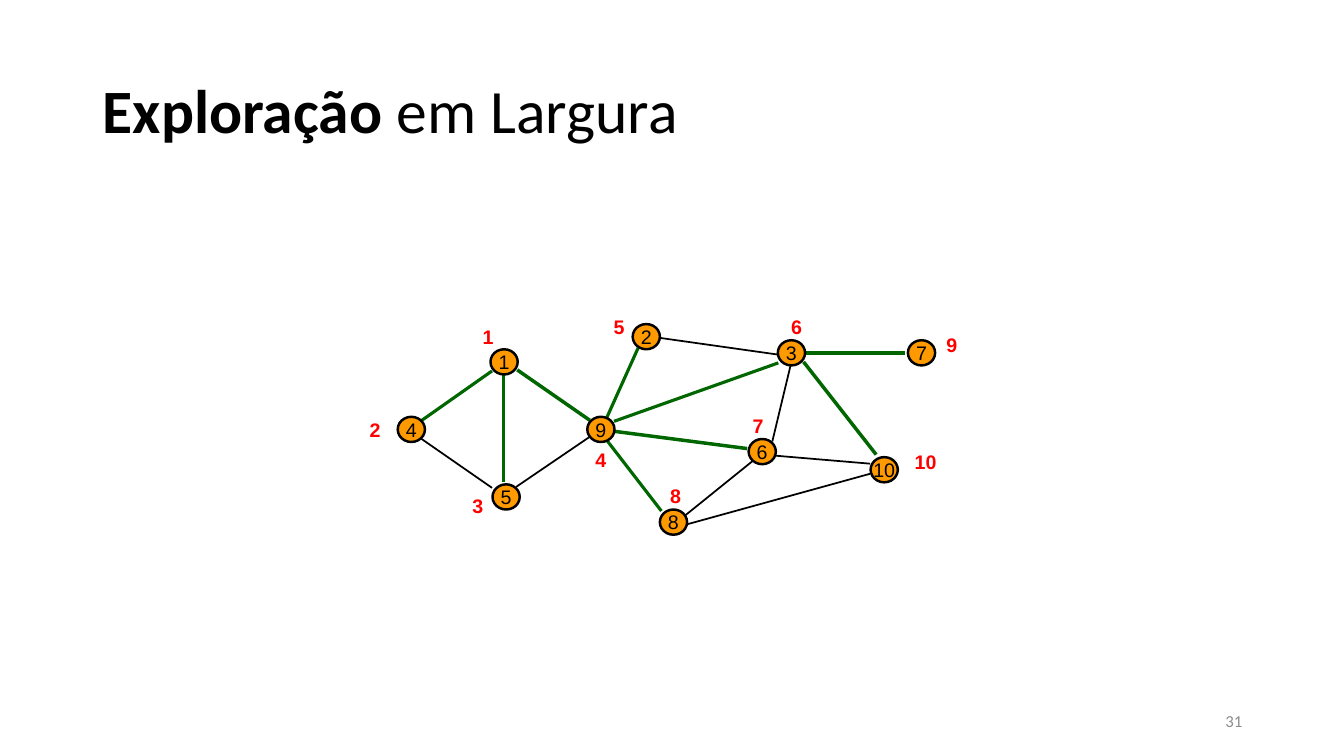
import dataclasses

import pptx
import pptx.dml.color
import pptx.enum.shapes
import pptx.enum.text
import pptx.oxml
import pptx.util

Inches = pptx.util.Inches
Align = pptx.enum.text.PP_ALIGN


@dataclasses.dataclass(frozen=True)
class Theme:
    """Colours, fonts and sizes of the deck."""
    ink: str = "000000"
    node: str = "FF9900"
    order: str = "FF0000"
    tree: str = "006600"
    muted: str = "8C8C8C"
    heading_font: str = "Calibri"
    graph_font: str = "Arial"
    title_size: float = 44
    graph_size: float = 14
    number_size: float = 12
    edge_width: float = 1.25
    node_width: float = 1.75
    tree_width: float = 2.25
    tree_bold_width: float = 2.5


THEME = Theme()
NODE_SIZE = (0.27, 0.25)
ORDER_SIZE = (0.61, 0.33)

NODES = [
    ("1", (1.5, 0.59), "1", (1.34, 0.34)),
    ("4", (0.58, 1.26), "2", (0.22, 1.26)),
    ("5", (1.52, 1.93), "3", (1.24, 2.02)),
    ("9", (2.46, 1.26), "4", (2.46, 1.56)),
    ("2", (2.91, 0.34), "5", (2.64, 0.24)),
    ("3", (4.35, 0.5), "6", (4.4, 0.24)),
    ("6", (4.06, 1.48), "7", (4.02, 1.22)),
    ("8", (3.18, 2.18), "8", (3.2, 1.92)),
    ("7", (5.64, 0.5), "9", (5.94, 0.42)),
    ("10", (5.27, 1.66), "10", (5.68, 1.58)),
]
PLAIN_EDGES = [
    ((1.62, 1.83), (2.34, 1.34)),
    ((0.66, 1.34), (1.38, 1.84)),
    ((3.03, 0.35), (4.23, 0.52)),
    ((4.34, 0.63), (4.16, 1.38)),
    ((3.3, 2.11), (3.97, 1.57)),
    ((3.32, 2.2), (5.13, 1.7)),
    ((4.18, 1.52), (5.13, 1.6)),
]
TREE_EDGES = [
    ((0.67, 1.18), (1.38, 0.68)),
    ((1.49, 0.7), (1.49, 1.78)),
    ((2.52, 1.14), (2.83, 0.45)),
    ((2.52, 1.37), (3.06, 2.07)),
    ((2.59, 1.18), (4.22, 0.6)),
]
TREE_BOLD_EDGES = [
    ((4.49, 0.5), (5.48, 0.5)),
    ((1.63, 0.67), (2.35, 1.17)),
    ((2.6, 1.28), (3.91, 1.45)),
    ((4.47, 0.59), (5.19, 1.51)),
]


def rgb(code):
    """Return the colour for a hex code."""
    return pptx.dml.color.RGBColor.from_string(code)


def add_span(para, text, font, size, colour, bold=False):
    """Add one formatted run to a paragraph."""
    span = para.add_run()
    span.text = text
    span.font.name = font
    span.font.size = pptx.util.Pt(size)
    span.font.bold = bold
    span.font.color.rgb = rgb(colour)


def place_centred(box, centre, size):
    """Return the frame of the given size centred on a point of the box."""
    left, top = (start + middle - length / 2
                 for start, middle, length in zip(box, centre, size))
    return [Inches(value) for value in (left, top, *size)]


def centre_text(shape, text, colour, bold=False):
    """Write centred graph text in a shape without margins."""
    frame = shape.text_frame
    frame.margin_left = frame.margin_right = 0
    frame.margin_top = frame.margin_bottom = 0
    frame.word_wrap = False
    frame.vertical_anchor = pptx.enum.text.MSO_ANCHOR.MIDDLE
    para = frame.paragraphs[0]
    para.alignment = Align.CENTER
    add_span(para, text, THEME.graph_font, THEME.graph_size, colour, bold)


def add_edges(page, box, edges, colour, width):
    """Draw straight edges inside the box."""
    for edge in edges:
        ends = [Inches(start + value)
                for point in edge for start, value in zip(box, point)]
        line = page.shapes.add_connector(
            pptx.enum.shapes.MSO_CONNECTOR.STRAIGHT, *ends)
        line.line.color.rgb = rgb(colour)
        line.line.width = pptx.util.Pt(width)
        line._element.spPr.append(pptx.oxml.parse_xml(
            '<a:effectLst xmlns:a='
            '"http://schemas.openxmlformats.org/drawingml/2006/main"/>'))


def add_node(page, box, name, centre):
    """Draw one visited node with its name."""
    node = page.shapes.add_shape(
        pptx.enum.shapes.MSO_SHAPE.OVAL, *place_centred(box, centre, NODE_SIZE))
    node.shadow.inherit = False
    node.fill.solid()
    node.fill.fore_color.rgb = rgb(THEME.node)
    node.line.color.rgb = rgb(THEME.ink)
    node.line.width = pptx.util.Pt(THEME.node_width)
    centre_text(node, name, THEME.ink)


def add_graph(page, box):
    """Draw the graph, its search tree and the visiting order."""
    add_edges(page, box, PLAIN_EDGES, THEME.ink, THEME.edge_width)
    add_edges(page, box, TREE_BOLD_EDGES, THEME.tree, THEME.tree_bold_width)
    add_edges(page, box, TREE_EDGES, THEME.tree, THEME.tree_width)
    for name, centre, order, order_centre in NODES:
        add_node(page, box, name, centre)
        label = page.shapes.add_textbox(
            *place_centred(box, order_centre, ORDER_SIZE))
        centre_text(label, order, THEME.order, bold=True)


def add_title(page, box):
    """Fill the title placeholder in the box."""
    title = page.shapes.title
    title.left, title.top, title.width, title.height = map(Inches, box)
    title.text_frame.vertical_anchor = pptx.enum.text.MSO_ANCHOR.MIDDLE
    para = title.text_frame.paragraphs[0]
    para.alignment = Align.LEFT
    para.line_spacing = 0.9
    for text, bold in (("Exploração", True), (" em Largura", False)):
        add_span(para, text, THEME.heading_font, THEME.title_size,
                 THEME.ink, bold)


def add_page_number(page, box, number):
    """Write the page number at the right of the box."""
    frame = page.shapes.add_textbox(*map(Inches, box)).text_frame
    frame.word_wrap = True
    frame.vertical_anchor = pptx.enum.text.MSO_ANCHOR.MIDDLE
    para = frame.paragraphs[0]
    para.alignment = Align.RIGHT
    add_span(para, number, THEME.heading_font, THEME.number_size, THEME.muted)


def main():
    """Build and save the deck."""
    deck = pptx.Presentation()
    deck.slide_width, deck.slide_height = Inches(13.33), Inches(7.5)
    page = deck.slides.add_slide(deck.slide_layouts.get_by_name("Title Only"))
    add_title(page, (0.92, 0.4, 11.5, 1.45))
    add_graph(page, (3.5, 3))
    add_page_number(page, (9.42, 6.95, 3, 0.4), "31")
    deck.save("out.pptx")


if __name__ == "__main__":
    main()
